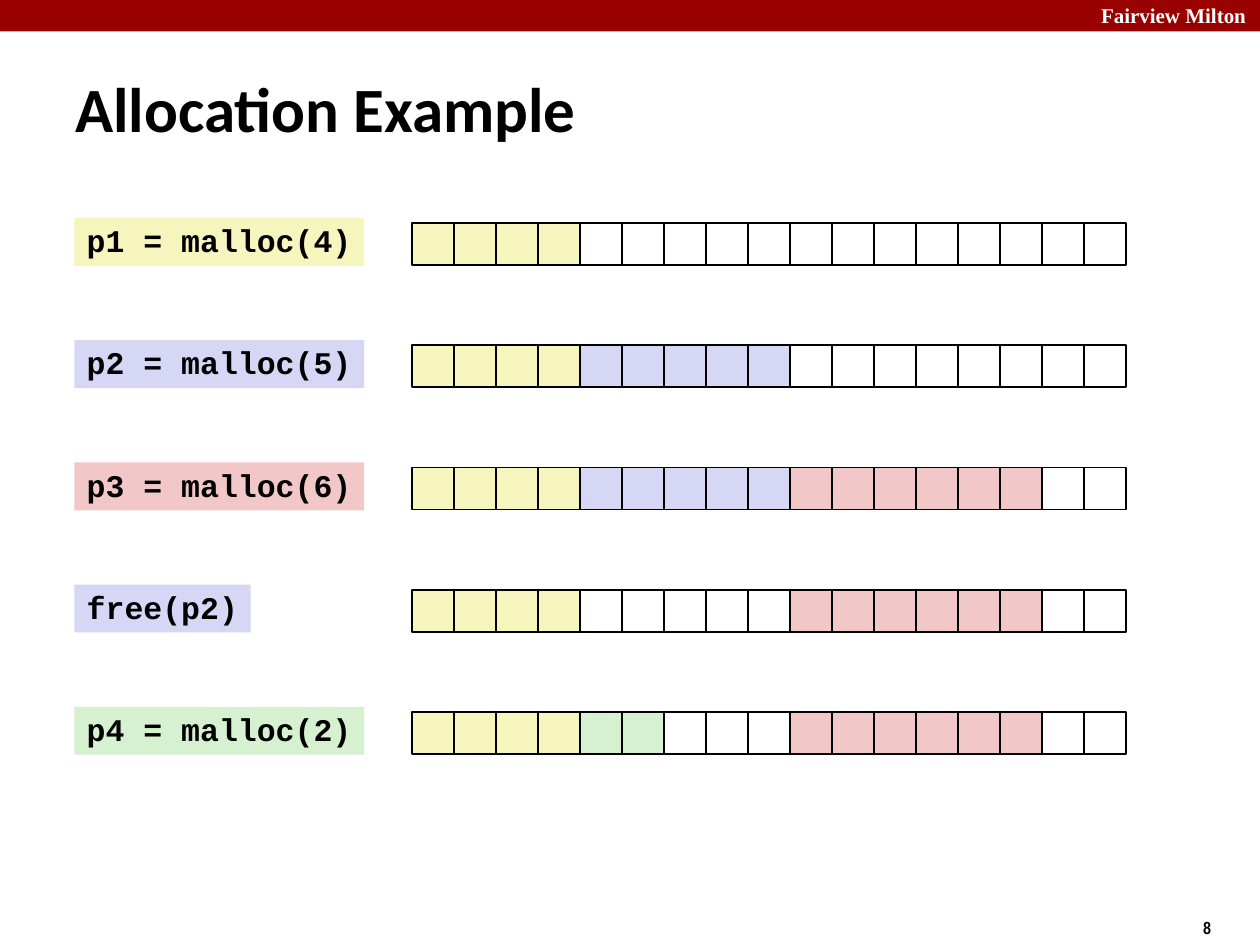
from pptx import Presentation
from pptx import util as u
from pptx.dml.color import RGBColor
from pptx.enum import shapes, text

COLORS = {
    "banner": "990000",
    "black": "000000",
    "white": "FFFFFF",
    "p1": "F6F5BD",
    "p2": "D6D6F5",
    "p3": "F1C7C7",
    "p4": "D5F1CF",
    "free": "FFFFFF",
}

STEPS = [
    ("p1 = malloc(4)", "p1", 2.3, [("p1", 4), ("free", 13)]),
    ("p2 = malloc(5)", "p2", 2.3, [("p1", 4), ("p2", 5), ("free", 8)]),
    ("p3 = malloc(6)", "p3", 2.3, [("p1", 4), ("p2", 5), ("p3", 6), ("free", 2)]),
    ("free(p2)", "p2", 1.4, [("p1", 4), ("free", 5), ("p3", 6), ("free", 2)]),
    ("p4 = malloc(2)", "p4", 2.3,
     [("p1", 4), ("p4", 2), ("free", 3), ("p3", 6), ("free", 2)]),
]

FIRST_LABEL_TOP = 1.73
STEP_PITCH = 0.97
LABEL_LEFT = 0.59
HEAP_LEFT = 3.27
WORD_SIZE = 1 / 3


def color(name):
    return RGBColor.from_string(COLORS[name])


def add_rectangle(slide, left, top, width, height, fill, outlined=False):
    box = slide.shapes.add_shape(
        shapes.MSO_SHAPE.RECTANGLE,
        u.Inches(left), u.Inches(top), u.Inches(width), u.Inches(height))
    box.shadow.inherit = False
    box.fill.solid()
    box.fill.fore_color.rgb = color(fill)
    if outlined:
        box.line.color.rgb = color("black")
        box.line.width = u.Pt(1)
    else:
        box.line.fill.background()
    return box


def write(box, words, font, size, ink="black", anchor=text.MSO_ANCHOR.TOP, wrap=True):
    frame = box.text_frame
    frame.text = words
    frame.word_wrap = wrap
    frame.vertical_anchor = anchor
    para = frame.paragraphs[0]
    para.alignment = text.PP_ALIGN.LEFT
    span = para.runs[0]
    span.font.name = font
    span.font.size = u.Pt(size)
    span.font.bold = True
    span.font.color.rgb = color(ink)
    return para


def add_text(slide, left, top, width, height, words, font, size, **style):
    box = slide.shapes.add_textbox(
        u.Inches(left), u.Inches(top), u.Inches(width), u.Inches(height))
    write(box, words, font, size, **style)


def add_heap(slide, top, blocks):
    words = [owner for owner, count in blocks for _ in range(count)]
    for index, owner in enumerate(words):
        add_rectangle(slide, HEAP_LEFT + index * WORD_SIZE, top,
                      WORD_SIZE, WORD_SIZE, owner, outlined=True)


def add_call_label(slide, top, width, call, fill):
    box = add_rectangle(slide, LABEL_LEFT, top, width, 0.38, fill)
    para = write(box, call, "Courier New", 18, wrap=False)
    para.line_spacing = 0.94


def main():
    deck = Presentation()
    deck.slide_width = u.Inches(10)
    deck.slide_height = u.Inches(7.5)
    page = deck.slides.add_slide(deck.slide_layouts[6])

    add_rectangle(page, 0, 0, 10, 0.25, "banner")
    add_text(page, 8.64, -0.03, 1.43, 0.3, "Fairview Milton",
             "Times New Roman", 12, ink="white")
    add_text(page, 9.45, 7.23, 0.75, 0.27, "8", "Arial Narrow", 10)
    add_text(page, 0.5, 0.54, 7.07, 0.63, "Allocation Example",
             "Calibri", 36, anchor=text.MSO_ANCHOR.MIDDLE)

    for index, (call, fill, width, blocks) in enumerate(STEPS):
        top = FIRST_LABEL_TOP + index * STEP_PITCH
        add_heap(page, top + 0.04, blocks)
        add_call_label(page, top, width, call, fill)

    deck.save("out.pptx")


if __name__ == "__main__":
    main()
